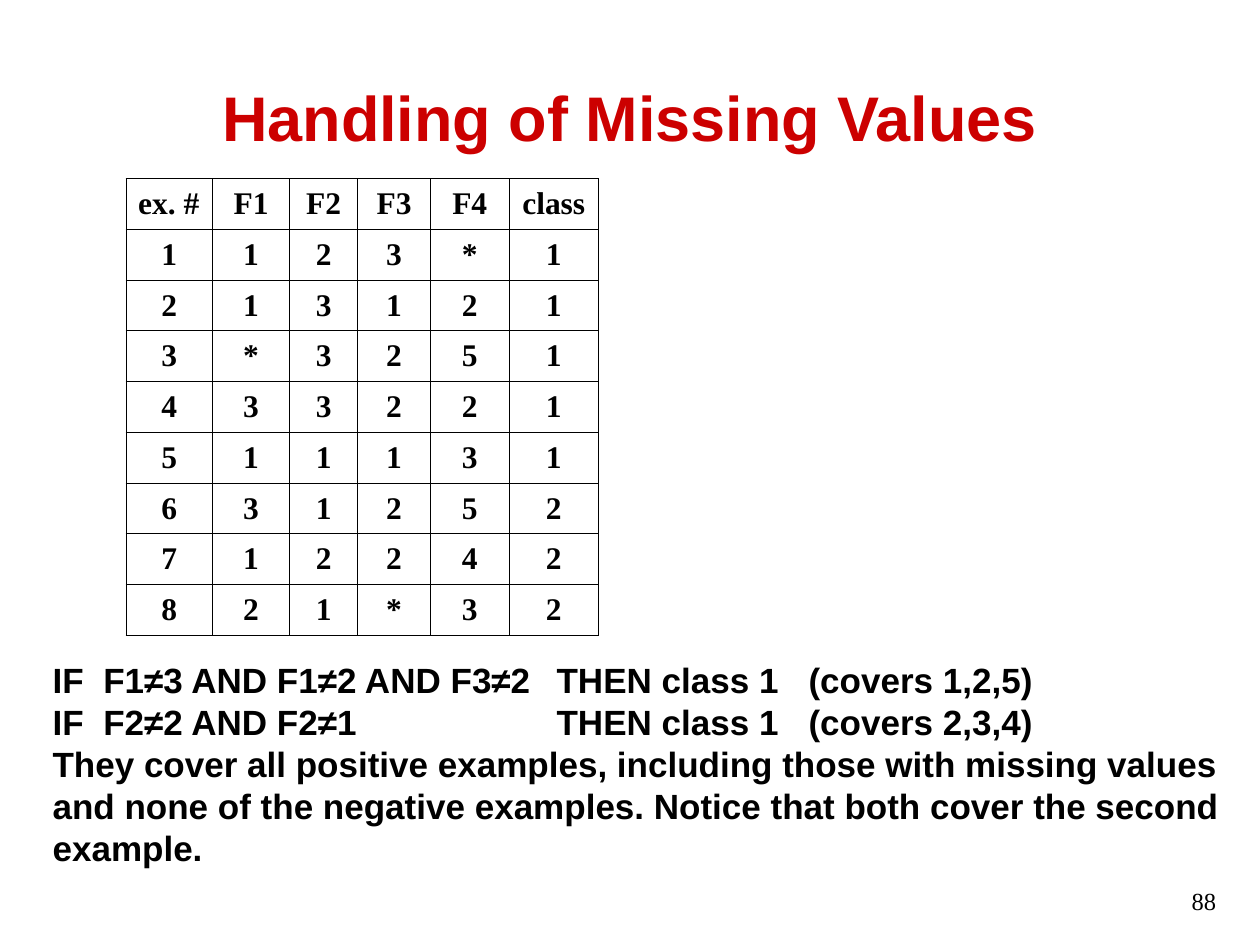
from dataclasses import dataclass

from lxml.etree import SubElement as Sub
from pptx import Presentation
from pptx.dml.color import RGBColor as Rgb
from pptx.enum.text import MSO_ANCHOR as Anchor, PP_ALIGN as Align
from pptx.oxml.ns import qn
from pptx.util import Pt

HUES = {"title": "CC0000", "ink": "000000"}
SANS, SERIF = "Arial", "Times New Roman"


@dataclass
class Box:
    lines: list[str]
    left: float
    top: float
    width: float
    height: float
    font: str
    size: float
    hue: str = "ink"
    bold: bool = True
    align: Align = Align.LEFT
    anchor: Anchor = Anchor.TOP
    wrap: bool = True
    stops: tuple = ()


@dataclass
class Grid:
    rows: list[str]
    left: float
    top: float
    cols: list[float]
    high: float
    line: float


BOXES = [
    Box(["Handling of Missing Values"], 36, 21.6, 648, 90, SANS, 36,
        hue="title", align=Align.CENTER, anchor=Anchor.MIDDLE),
    Box(["IF\tF1≠3 AND F1≠2 AND F3≠2\tTHEN class 1\t(covers 1,2,5)",
         "IF\tF2≠2 AND F2≠1\tTHEN class 1\t(covers 2,3,4)",
         "They cover all positive examples, including those with missing values",
         "and none of the negative examples. Notice that both cover the second",
         "example."],
        23, 372.5, 687, 127.5, SANS, 20, wrap=False, stops=(29, 288, 432)),
    Box(["88"], 534, 502.5, 168, 37.5, SERIF, 14, bold=False,
        align=Align.RIGHT),
]

CASES = Grid(
    ["ex. #|F1|F2|F3|F4|class",
     "1|1|2|3|*|1",
     "2|1|3|1|2|1",
     "3|*|3|2|5|1",
     "4|3|3|2|2|1",
     "5|1|1|1|3|1",
     "6|3|1|2|5|2",
     "7|1|2|2|4|2",
     "8|2|1|*|3|2"],
    72, 102, [49.5, 44, 39, 41.5, 45, 51], 29, 0.45)


def write(para, text: str, *, font: str, size: float, hue: str = "ink",
          bold: bool = True, align: Align = Align.CENTER,
          stops: tuple = ()) -> None:
    """Fill one paragraph with formatted text."""
    para.alignment = align
    if stops:
        tabs = Sub(para._p.get_or_add_pPr(), qn("a:tabLst"))
        for stop in stops:
            Sub(tabs, qn("a:tab"), pos=str(Pt(stop)), algn="l")
    run = para.add_run()
    run.text = text
    face = run.font
    face.name, face.size, face.bold = font, Pt(size), bold
    face.color.rgb = Rgb.from_string(HUES[hue])


def draw_box(slide, box: Box) -> None:
    area = (box.left, box.top, box.width, box.height)
    frame = slide.shapes.add_textbox(*map(Pt, area)).text_frame
    frame.word_wrap = box.wrap
    frame.vertical_anchor = box.anchor
    for i, line in enumerate(box.lines):
        para = frame.add_paragraph() if i else frame.paragraphs[0]
        write(para, line, font=box.font, size=box.size, hue=box.hue,
              bold=box.bold, align=box.align,
              stops=box.stops if "\t" in line else ())


def edge(cell, width: float) -> None:
    """Rule all four sides of a cell."""
    props = cell._tc.get_or_add_tcPr()
    for side in ("lnL", "lnR", "lnT", "lnB"):
        rule = Sub(props, qn(f"a:{side}"), w=str(Pt(width)))
        fill = Sub(rule, qn("a:solidFill"))
        Sub(fill, qn("a:srgbClr"), val=HUES["ink"])


def draw_grid(slide, grid: Grid) -> None:
    area = (grid.left, grid.top, sum(grid.cols), grid.high * len(grid.rows))
    table = slide.shapes.add_table(
        len(grid.rows), len(grid.cols), *map(Pt, area)).table
    table.first_row = table.horz_banding = False
    for col, width in zip(table.columns, grid.cols):
        col.width = Pt(width)
    for r, row in enumerate(grid.rows):
        table.rows[r].height = Pt(grid.high)
        for c, text in enumerate(row.split("|")):
            cell = table.cell(r, c)
            cell.margin_left = cell.margin_right = Pt(7)
            cell.vertical_anchor = Anchor.MIDDLE
            edge(cell, grid.line)
            cell.fill.background()
            # The corner label alone is set flush left
            align = Align.CENTER if r or c else Align.LEFT
            write(cell.text_frame.paragraphs[0], text, font=SERIF, size=18,
                  align=align)


def main() -> None:
    deck = Presentation()
    deck.slide_width, deck.slide_height = Pt(720), Pt(540)
    slide = deck.slides.add_slide(deck.slide_layouts[6])
    title, *rest = BOXES
    draw_box(slide, title)
    # Table of examples
    draw_grid(slide, CASES)
    # Rules and page number
    for box in rest:
        draw_box(slide, box)
    deck.save("out.pptx")


if __name__ == "__main__":
    main()
